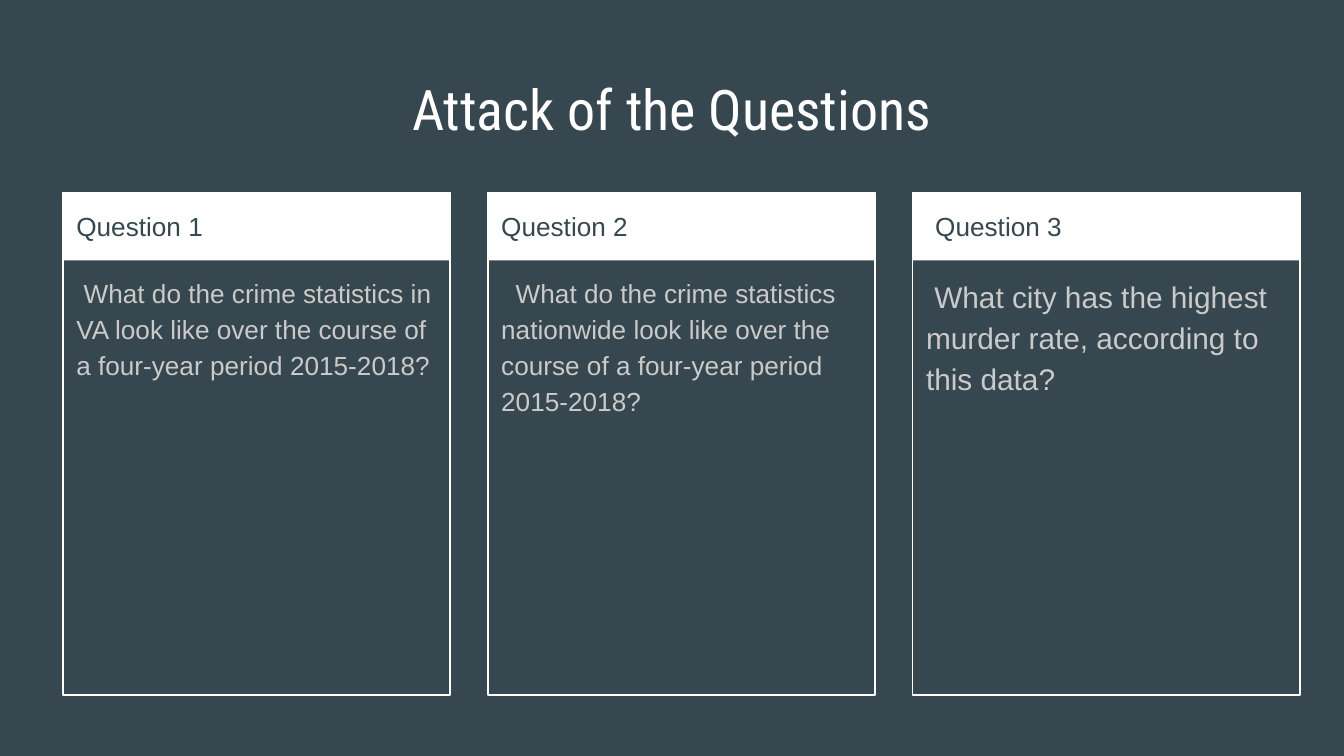
from pptx import Presentation
from pptx.dml.color import RGBColor
from pptx.enum import shapes, text
from pptx.util import Pt

SLATE = RGBColor(0x37, 0x47, 0x4F)
WHITE = RGBColor(0xFF, 0xFF, 0xFF)
GREY = RGBColor(0xCA, 0xCA, 0xCA)

TITLE = "Attack of the Questions"
# heading, heading inset, question, question size, first-line indent
QUESTIONS = [
    ("Question 1", 0, "What do the crime statistics in VA look like over "
     "the course of a four-year period 2015-2018?", 14, 3.9),
    ("Question 2", 0, "What do the crime statistics nationwide look like over "
     "the course of a four-year period 2015-2018?", 14, 7.8),
    ("Question 3", 4.9, "What city has the highest murder rate, according to "
     "this data?", 16, 4.45),
]

# Card grid
LEFT, TOP, PITCH = 33.8, 103, 227.6
WIDTH, HEIGHT, HEADER_HEIGHT = 207.4, 269.3, 36.5
PADDING = 7.2


def add_rectangle(slide, left, top, width, height, fill=None, line=None):
    box = slide.shapes.add_shape(shapes.MSO_SHAPE.RECTANGLE,
                                 Pt(left), Pt(top), Pt(width), Pt(height))
    box.shadow.inherit = False
    if fill is None:
        box.fill.background()
    else:
        box.fill.solid()
        box.fill.fore_color.rgb = fill
    if line is None:
        box.line.fill.background()
    else:
        box.line.color.rgb = line
        box.line.width = Pt(0.75)


def add_text(slide, words, left, top, width, height, size, color, font="Arial"):
    box = slide.shapes.add_textbox(Pt(left), Pt(top), Pt(width), Pt(height))
    frame = box.text_frame
    frame.word_wrap = True
    frame.margin_left = frame.margin_right = Pt(PADDING)
    frame.margin_top = frame.margin_bottom = Pt(PADDING)
    para = frame.paragraphs[0]
    para.text = words
    para.font.name = font
    para.font.size = Pt(size)
    para.font.color.rgb = color
    return frame, para


def main():
    deck = Presentation()
    deck.slide_width, deck.slide_height = Pt(720), Pt(405)
    slide = deck.slides.add_slide(deck.slide_layouts[6])
    slide.background.fill.solid()
    slide.background.fill.fore_color.rgb = SLATE

    # Title
    frame, para = add_text(slide, TITLE, 24.5, 35.3, 671, 45.4, 30, WHITE,
                           "Roboto Condensed")
    frame.vertical_anchor = text.MSO_ANCHOR.MIDDLE
    para.alignment = text.PP_ALIGN.CENTER

    # Question cards
    for column, (heading, inset, question, size, indent) in enumerate(QUESTIONS):
        left = LEFT + column * PITCH
        add_rectangle(slide, left, TOP, WIDTH, HEADER_HEIGHT, fill=WHITE)
        add_rectangle(slide, left, TOP, WIDTH, HEIGHT, line=WHITE)
        _, para = add_text(slide, heading, left + inset, TOP, WIDTH - 2 * inset,
                           36, 14, SLATE)
        para.line_spacing = 1.15
        _, para = add_text(slide, question, left, TOP + 36, WIDTH, HEIGHT - 36,
                           size, GREY)
        para.line_spacing = 1.15
        para._p.get_or_add_pPr().set("indent", str(Pt(indent)))

    deck.save("out.pptx")


if __name__ == "__main__":
    main()
